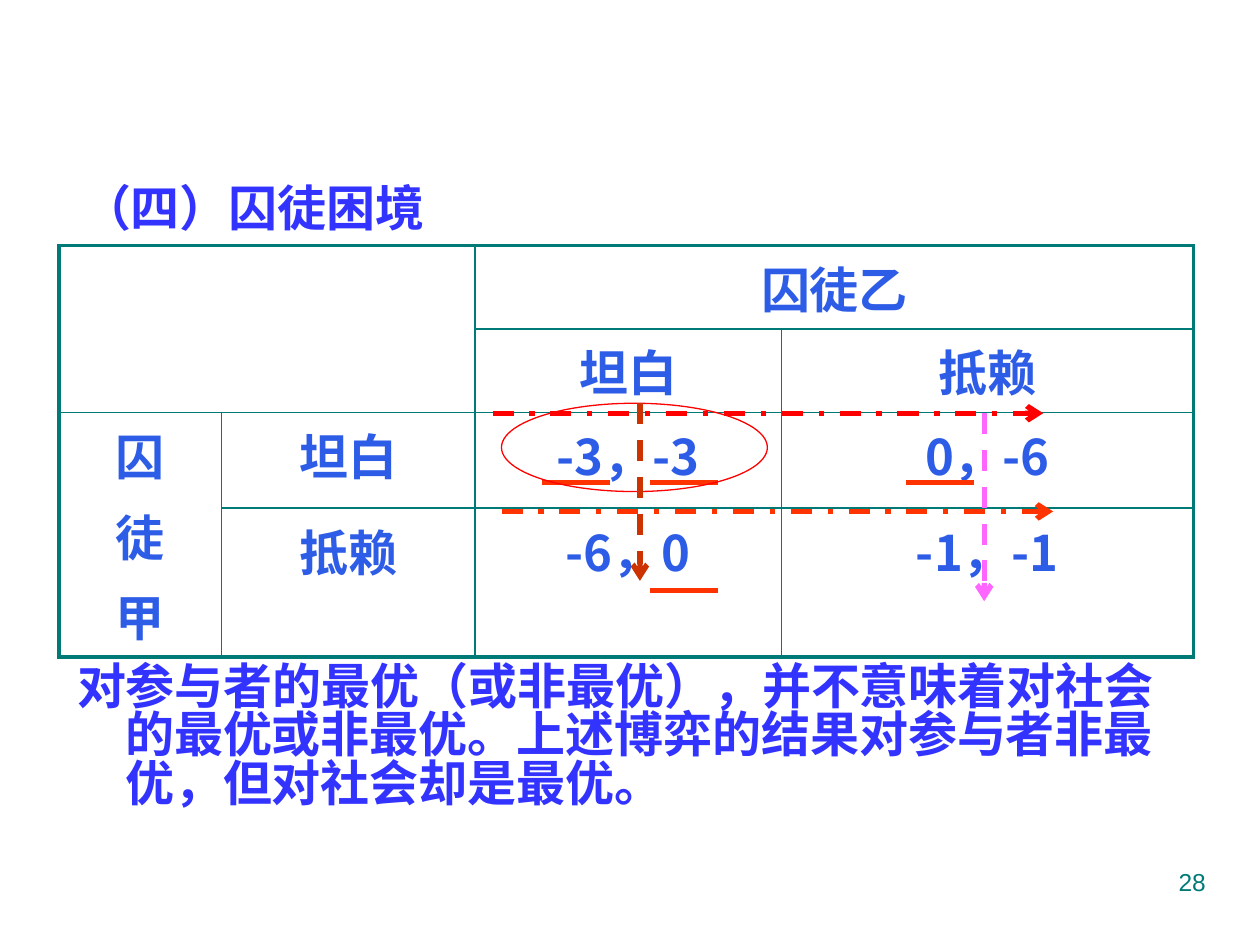
"""Build the prisoner's dilemma slide with its payoff table."""
from dataclasses import dataclass

from lxml.etree import SubElement
from pptx import Presentation
from pptx.dml.color import RGBColor as Rgb
from pptx.enum.dml import MSO_LINE_DASH_STYLE as Dash
from pptx.enum.shapes import MSO_CONNECTOR_TYPE as Link, MSO_SHAPE as Preset
from pptx.enum.text import MSO_ANCHOR as Anchor, MSO_AUTO_SIZE as Fit, PP_ALIGN as Align
from pptx.oxml import parse_xml
from pptx.oxml.ns import nsdecls, qn
from pptx.util import Cm, Pt


@dataclass(frozen=True)
class Theme:
    cjk: str = "Noto Sans CJK SC"
    latin: str = "Arial"
    heading: str = "3333FF"
    cell: str = "2D5CE7"
    teal: str = "007A77"
    mark: str = "FF3300"
    red: str = "FF0000"
    brown: str = "CC3300"
    pink: str = "FF66FF"
    text_size: int = 28
    number_size: int = 14
    thin: float = 1
    thick: float = 2.25
    arrow: float = 3
    ring: float = 0.75


THEME = Theme()
TABLE_AT = (1.19, 4.95)
COLUMNS = (3.28, 5.11, 6.17, 8.31)
ROWS = (1.57, 1.57, 1.93, 2.36)
MERGES = (((0, 0), (1, 1)), ((0, 2), (0, 3)), ((2, 0), (3, 0)))
PAYOFFS = (
    ("", "", "囚徒乙", ""),
    ("", "", "坦白", "抵赖"),
    ("囚\n徒\n甲", "坦白", "-3，-3", "0，-6"),
    ("", "抵赖", "-6，0", "-1，-1"),
)
UNDERLINE_LENGTH = 1.37
UNDERLINES = ((10.92, 9.73), (18.26, 9.73), (13.11, 9.73), (13.11, 11.91))
ARROWS = (
    ((12.9, 8.13), (12.9, 11.71), THEME.brown, Dash.DASH),
    ((19.84, 8.33), (19.84, 12.12), THEME.pink, Dash.DASH),
    ((9.93, 8.33), (21.03, 8.33), THEME.red, Dash.DASH_DOT),
    ((10.11, 10.31), (21.23, 10.31), THEME.mark, Dash.DASH_DOT),
)
CONCLUSION = (
    "对参与者的最优（或非最优），并不意味着对社会的最优或非最优。"
    "上述博弈的结果对参与者非最优，但对社会却是最优。"
)


def apply(target, formats):
    """Set each attribute named in formats."""
    for name, value in formats.items():
        setattr(target, name, value)


def write(frame, text, color, size=THEME.text_size, font=THEME.cjk, bold=True, **layout):
    """Write text into a frame, one paragraph per line."""
    frame.text = text
    for paragraph in frame.paragraphs:
        apply(paragraph, layout)
        for run in paragraph.runs:
            apply(run.font, {"name": font, "size": Pt(size), "bold": bold})
            run.font.color.rgb = Rgb.from_string(color)
            SubElement(run.font._element, qn("a:ea"), typeface=font)


def place(shape, left, top, width, height):
    """Move and size a shape, in centimetres."""
    apply(shape, {"left": Cm(left), "top": Cm(top), "width": Cm(width), "height": Cm(height)})


def add_title(slide):
    """Fill the title placeholder."""
    title = slide.shapes.title
    place(title, 1.4, 3.58, 22.86, 1.19)
    apply(title.text_frame, {"auto_size": Fit.NONE, "vertical_anchor": Anchor.MIDDLE})
    write(title.text_frame, "（四）囚徒困境", THEME.heading, alignment=Align.LEFT)


def add_conclusion(slide):
    """Fill the body placeholder with a hanging paragraph."""
    body = slide.placeholders[1]
    place(body, 1.3, 13.28, 22.86, 4.42)
    body.text_frame.auto_size = Fit.NONE
    write(body.text_frame, CONCLUSION, THEME.heading, space_before=Pt(14), line_spacing=0.83)
    properties = body.text_frame.paragraphs[0]._p.get_or_add_pPr()
    properties.set("marL", str(Cm(0.97)))
    properties.set("indent", str(Cm(-0.97)))
    SubElement(properties, qn("a:buNone"))


def add_number(slide):
    """Add the page number."""
    box = slide.shapes.add_textbox(Cm(18.21), Cm(17.35), Cm(6.35), Cm(1.32))
    box.text_frame.word_wrap = True
    write(box.text_frame, "28", THEME.teal, THEME.number_size, THEME.latin, False,
          alignment=Align.RIGHT)


def set_borders(cell, outer):
    """Draw the four cell borders, thick where the side is on the outer edge."""
    properties = cell._tc.get_or_add_tcPr()
    for position, side in enumerate("LRTB"):
        width = Pt(THEME.thick if outer[side] else THEME.thin)
        properties.insert(position, parse_xml(
            f'<a:ln{side} {nsdecls("a")} w="{width}"><a:solidFill>'
            f'<a:srgbClr val="{THEME.teal}"/></a:solidFill></a:ln{side}>'))


def add_payoff_table(slide):
    """Add the payoff table."""
    frame = slide.shapes.add_table(len(ROWS), len(COLUMNS), *map(Cm, TABLE_AT),
                                   Cm(sum(COLUMNS)), Cm(sum(ROWS)))
    table = frame.table
    apply(table, {"first_row": False, "horz_banding": False})
    for column, width in zip(table.columns, COLUMNS):
        column.width = Cm(width)
    for row, height in zip(table.rows, ROWS):
        row.height = Cm(height)
    for first, last in MERGES:
        table.cell(*first).merge(table.cell(*last))
    for r, texts in enumerate(PAYOFFS):
        for c, text in enumerate(texts):
            cell = table.cell(r, c)
            cell.fill.background()
            if cell.is_spanned:
                continue
            across, down = (cell.span_width, cell.span_height) if cell.is_merge_origin else (1, 1)
            set_borders(cell, {"L": c == 0, "R": c + across == len(COLUMNS),
                               "T": r == 0, "B": r + down == len(ROWS)})
            if text:
                write(cell.text_frame, text, THEME.cell, alignment=Align.CENTER,
                      space_before=Pt(5.6))


def add_line(slide, start, end, color, dash=None):
    """Add a plain line, or a dashed arrow when a dash style is given."""
    line = slide.shapes.add_connector(Link.STRAIGHT, *map(Cm, start + end))
    line.line.color.rgb = Rgb.from_string(color)
    line.line.width = Pt(THEME.arrow)
    if dash:
        line.line.dash_style = dash
        SubElement(line.line._get_or_add_ln(), qn("a:tailEnd"), type="arrow")
    SubElement(line._element.spPr, qn("a:effectLst"))


def add_equilibrium_ring(slide):
    """Circle the equilibrium payoff."""
    ring = slide.shapes.add_shape(Preset.OVAL, Cm(10.11), Cm(8.13), Cm(5.36), Cm(1.78))
    ring.shadow.inherit = False
    ring.fill.background()
    ring.line.color.rgb = Rgb.from_string(THEME.red)
    ring.line.width = Pt(THEME.ring)


def main():
    """Build and save the slide."""
    deck = Presentation()
    apply(deck, {"slide_width": Cm(25.4), "slide_height": Cm(19.05)})
    slide = deck.slides.add_slide(deck.slide_layouts[1])
    add_title(slide)
    add_payoff_table(slide)
    for left, top in UNDERLINES:
        add_line(slide, (left, top), (left + UNDERLINE_LENGTH, top), THEME.mark)
    add_equilibrium_ring(slide)
    for arrow in ARROWS:
        add_line(slide, *arrow)
    add_conclusion(slide)
    add_number(slide)
    deck.save("out.pptx")


if __name__ == "__main__":
    main()
